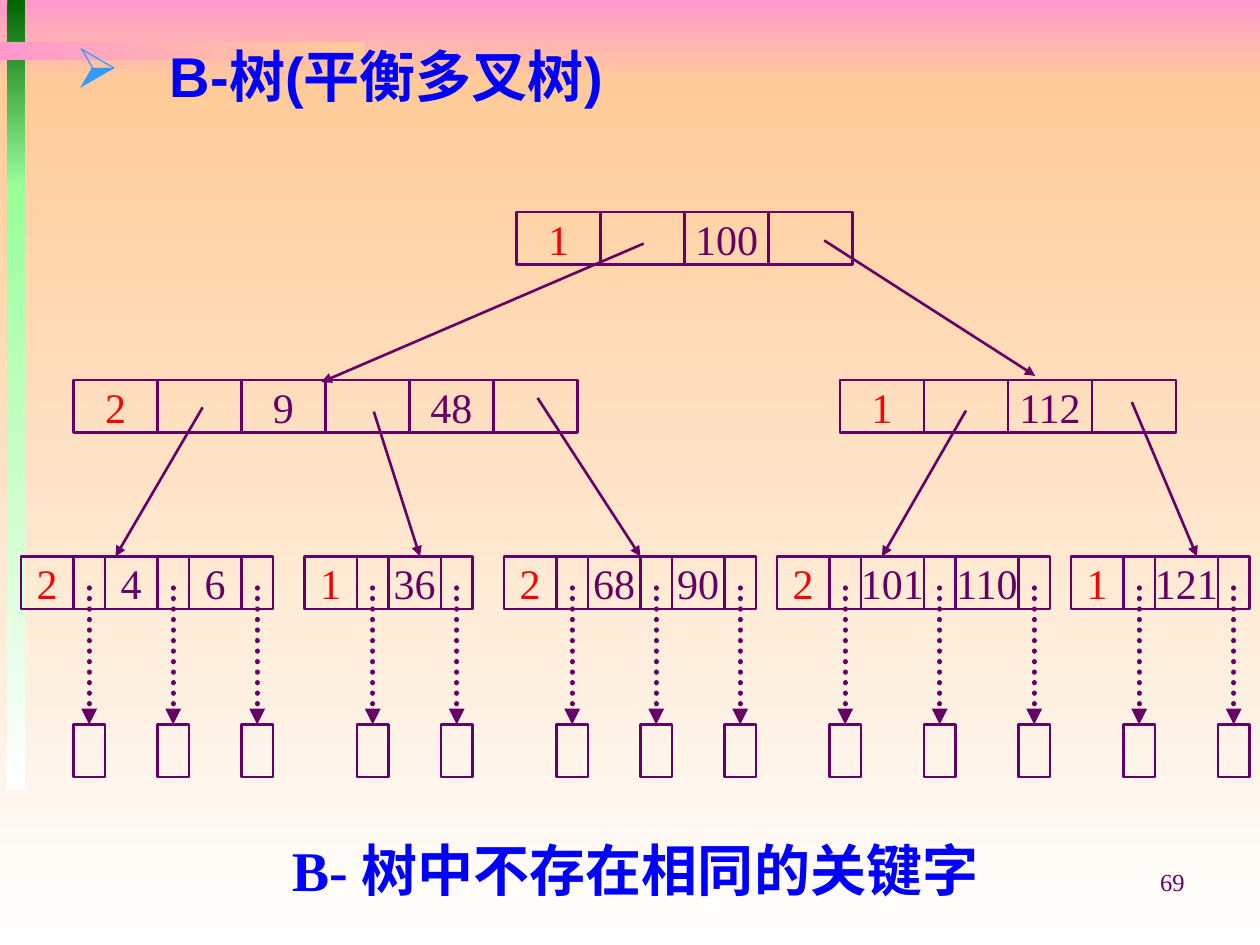
from lxml.etree import SubElement
from pptx import Presentation
from pptx.dml.color import RGBColor
from pptx.enum.dml import MSO_LINE
from pptx.enum.shapes import MSO_CONNECTOR, MSO_SHAPE
from pptx.enum.text import MSO_ANCHOR, PP_ALIGN
from pptx.oxml.ns import qn
from pptx.util import Inches, Pt

COLORS = {
    "pink": "FF99CC", "peach": "FFCC99", "white": "FFFFFF",
    "dark green": "006600", "light green": "99FF99",
    "purple": "660066", "red": "FF0000", "blue": "0000FF", "bullet": "3399FF",
}
CELLS_PER_INCH = 12
CELL_HEIGHT = 5
INNER_WIDTHS = {"count": 8, "pointer": 8, "key": 8}
LEAF_WIDTHS = {"count": 5, "pointer": 3, "key": 5}
LONG_LEAF_WIDTHS = {**LEAF_WIDTHS, "key": 6}
LEAF_TOP, RECORD_TOP = 53, 69

BACKDROP = [
    ((0, 0, 120, 8), "pink", "peach", 270),
    ((0, 8, 120, 82), "peach", "white", 270),
    ((0.7, 0, 1.7, 17.8), "dark green", "light green", 270),
    ((0.7, 17.5, 1.7, 57.7), "light green", "white", 270),
    ((0, 4, 34.7, 1.7), "peach", "pink", 180),
]
INNER_NODES = [
    (49.2, 20.2, ["100"]),
    (7, 36.2, ["9", "48"]),
    (80, 36.2, ["112"]),
]
LEAVES = [
    (2, ["4", "6"], LEAF_WIDTHS),
    (29, ["36"], LEAF_WIDTHS),
    (48, ["68", "90"], LEAF_WIDTHS),
    (74, ["101", "110"], LONG_LEAF_WIDTHS),
    (102, ["121"], LONG_LEAF_WIDTHS),
]
BRANCHES = [
    ((61.3, 23.2), (30.6, 36.4)),
    ((78.5, 22.9), (98.6, 35.8)),
    ((19.3, 38.8), (11, LEAF_TOP)),
    ((35.6, 39.2), (40, LEAF_TOP)),
    ((51.2, 37.9), (61, LEAF_TOP)),
    ((92, 39.1), (84, LEAF_TOP)),
    ((107.8, 38.3), (114, LEAF_TOP)),
]


def grid(*counts):
    """Turn grid counts into lengths."""
    return [Inches(count / CELLS_PER_INCH) for count in counts]


def color(name):
    """Look up a named colour."""
    return RGBColor.from_string(COLORS[name])


def write(shape, text, size=24, tint="purple", font="Times New Roman",
          bold=False, align=PP_ALIGN.CENTER, anchor=MSO_ANCHOR.TOP, wrap=True):
    """Put one formatted paragraph into a shape and return it."""
    frame = shape.text_frame
    frame.word_wrap = wrap
    frame.vertical_anchor = anchor
    para = frame.paragraphs[0]
    para.alignment = align
    span = para.add_run()
    span.text = text
    span.font.size = Pt(size)
    span.font.name = font
    span.font.bold = bold
    span.font.color.rgb = color(tint)
    return para


def add_text(page, place, text, **style):
    """Add a text box and return its paragraph."""
    return write(page.shapes.add_textbox(*grid(*place)), text, **style)


def add_bullet(para, symbol, indent):
    """Give a paragraph a coloured bullet with a hanging indent."""
    properties = para._p.get_or_add_pPr()
    properties.set("marL", str(indent))
    properties.set("indent", str(-indent))
    tint = SubElement(properties, qn("a:buClr"))
    SubElement(tint, qn("a:srgbClr"), val=COLORS["bullet"])
    SubElement(properties, qn("a:buChar"), char=symbol)


def add_gradient(page, place, start, end, angle):
    """Add a borderless rectangle with a two-colour gradient."""
    box = page.shapes.add_shape(MSO_SHAPE.RECTANGLE, *grid(*place))
    box.shadow.inherit = False
    box.line.fill.background()
    box.fill.gradient()
    box.fill.gradient_angle = angle
    for stop, name in zip(box.fill.gradient_stops, (start, end)):
        stop.color.rgb = color(name)


def add_cell(page, left, top, width, text="", tint="purple"):
    """Add one outlined cell, with text if there is any."""
    box = page.shapes.add_shape(
        MSO_SHAPE.RECTANGLE, *grid(left, top, width, CELL_HEIGHT))
    box.shadow.inherit = False
    box.fill.background()
    box.line.color.rgb = color("purple")
    box.line.width = Pt(1.5)
    if text:
        write(box, text, tint=tint, anchor=MSO_ANCHOR.MIDDLE, wrap=False)
    return box


def add_arrow(page, start, end, width=1.5, dotted=False):
    """Add a straight arrow between two grid points."""
    arrow = page.shapes.add_connector(
        MSO_CONNECTOR.STRAIGHT, *grid(*start, *end))
    arrow.line.color.rgb = color("purple")
    arrow.line.width = Pt(width)
    outline = arrow.line._get_or_add_ln()
    if dotted:
        arrow.line.dash_style = MSO_LINE.ROUND_DOT
        outline.set("cap", "rnd")
    SubElement(outline, qn("a:tailEnd"), type="triangle")
    SubElement(arrow._element.spPr, qn("a:effectLst"))
    return arrow


def add_node(page, left, top, keys, widths):
    """Add a node's count, pointers and keys; return the pointer lefts."""
    parts = [("count", str(len(keys)), "red"), ("pointer", "", "purple")]
    for key in keys:
        parts += [("key", key, "purple"), ("pointer", "", "purple")]
    pointers = []
    for kind, text, tint in parts:
        add_cell(page, left, top, widths[kind], text, tint)
        if kind == "pointer":
            pointers.append(left)
        left += widths[kind]
    return pointers


def add_record(page, left, width):
    """Add a record box and the dotted arrow from its leaf pointer."""
    record = add_cell(page, left, RECORD_TOP, width)
    middle = left + width / 2
    arrow = add_arrow(page, (middle, LEAF_TOP + 3), (middle, RECORD_TOP),
                      width=3, dotted=True)
    arrow.end_connect(record, 0)


def main():
    """Build the B-tree slide."""
    deck = Presentation()
    deck.slide_width, deck.slide_height = grid(120, 90)
    page = deck.slides.add_slide(deck.slide_layouts[6])
    for band in BACKDROP:
        add_gradient(page, *band)
    title = add_text(page, (6, 3.4, 87, 7.7), "B-树(平衡多叉树)", size=32,
                     tint="blue", font="Arial", bold=True, align=PP_ALIGN.LEFT)
    add_bullet(title, "➢", Inches(0.75))
    for left, top, keys in INNER_NODES:
        add_node(page, left, top, keys, INNER_WIDTHS)
    for left, keys, widths in LEAVES:
        for pointer in add_node(page, left, LEAF_TOP, keys, widths):
            add_record(page, pointer, widths["pointer"])
    for start, end in BRANCHES:
        add_arrow(page, start, end)
    add_text(page, (4, 79, 113, 7.7), "B- 树中不存在相同的关键字",
             size=32, tint="blue", bold=True)
    add_text(page, (86, 82, 28, 6.2), "69", size=14, align=PP_ALIGN.RIGHT)
    deck.save("out.pptx")


if __name__ == "__main__":
    main()
